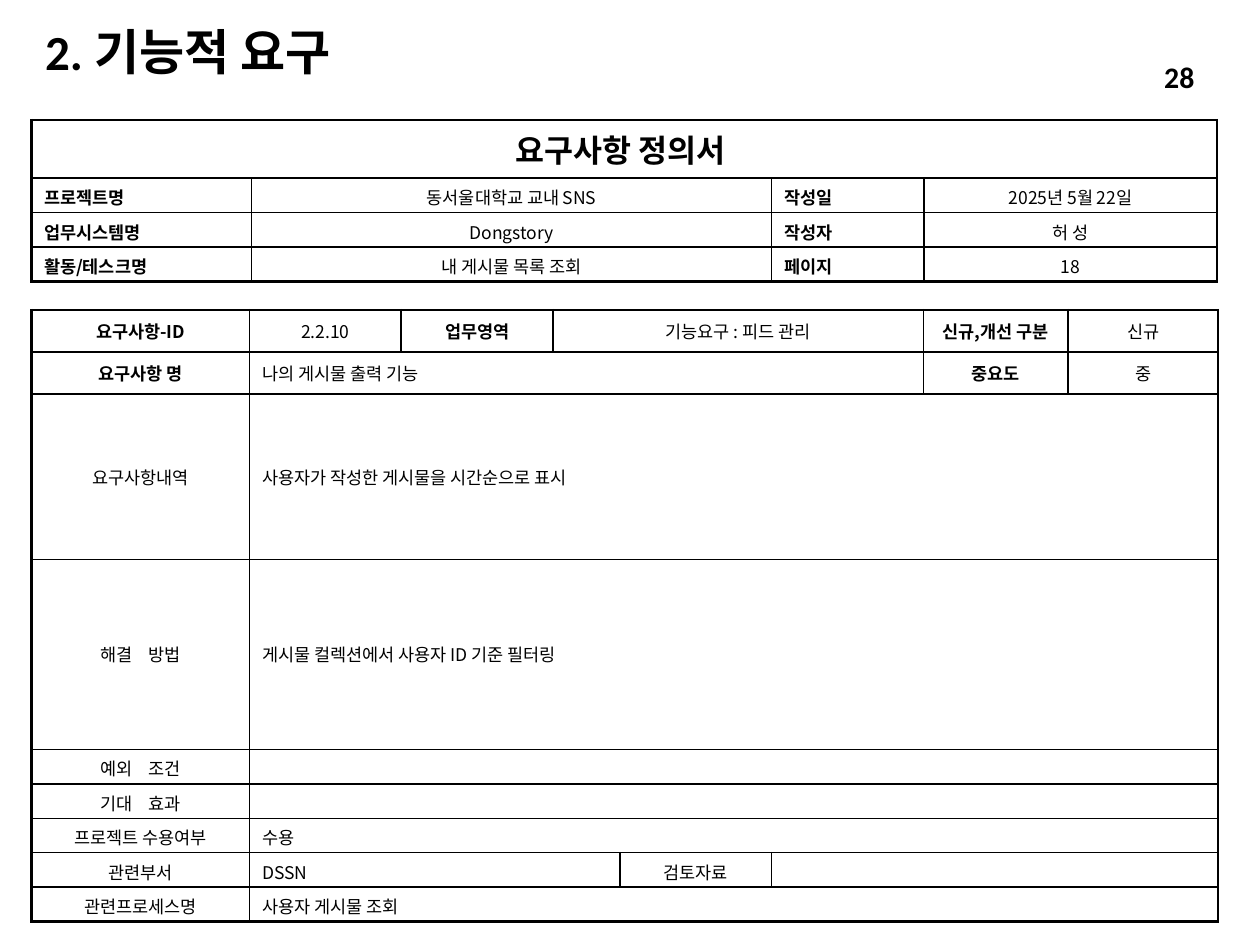
from dataclasses import dataclass
from typing import Optional

from lxml.etree import SubElement
from pptx import Presentation
from pptx.dml.color import RGBColor
from pptx.enum.text import MSO_ANCHOR, PP_ALIGN
from pptx.oxml.ns import qn
from pptx.util import Pt

LEFT, CENTER, RIGHT = PP_ALIGN.LEFT, PP_ALIGN.CENTER, PP_ALIGN.RIGHT
JUSTIFY = PP_ALIGN.JUSTIFY
TOP, MIDDLE = MSO_ANCHOR.TOP, MSO_ANCHOR.MIDDLE
LATIN, KOREAN = "Calibri", "Noto Sans CJK KR"
BLACK = "000000"
THIN, HEAVY = 1, 1.5
WORD_GAP = 6.7


@dataclass
class Cell:
    text: str = ""
    span: int = 1
    bold: bool = False
    align: PP_ALIGN = CENTER
    anchor: MSO_ANCHOR = MIDDLE
    size: float = 10
    font: str = KOREAN
    wide_gap: bool = False


@dataclass
class Grid:
    left: float
    top: float
    cols: list[float]
    heights: list[float]
    rows: list[list[Cell]]
    heavy_below: tuple[int, ...] = ()


def color(value: str) -> RGBColor:
    return RGBColor.from_string(value)


def add_run(p, text: str, size: float, bold: bool, font: str, spacing: float = 0) -> None:
    r = p.add_run()
    r.text = text
    r.font.size, r.font.bold, r.font.name = Pt(size), bold, font
    r.font.color.rgb = color(BLACK)
    rPr = r.font._element
    SubElement(rPr, qn("a:ea"), typeface=KOREAN)
    if spacing:
        rPr.set("spc", str(round(spacing * 100)))


def add_text(s, box: tuple[float, float, float, float], text: str, size: float,
             align: PP_ALIGN, line_spacing: Optional[float] = None) -> None:
    tf = s.shapes.add_textbox(*map(Pt, box)).text_frame
    tf.word_wrap = True
    tf.vertical_anchor = MIDDLE
    p = tf.paragraphs[0]
    p.alignment, p.line_spacing = align, line_spacing
    add_run(p, text, size, True, LATIN)


def set_borders(cell, widths: dict[str, float]) -> None:
    tcPr = cell._tc.get_or_add_tcPr()
    for side, width in widths.items():
        ln = SubElement(tcPr, qn(f"a:ln{side}"), w=str(Pt(width)))
        fill = SubElement(ln, qn("a:solidFill"))
        SubElement(fill, qn("a:srgbClr"), val=BLACK)
    cell.fill.background()


def fill_cell(cell, item: Cell) -> None:
    cell.vertical_anchor = item.anchor
    p = cell.text_frame.paragraphs[0]
    p.alignment = item.align
    if not item.text:
        end = SubElement(p._p, qn("a:endParaRPr"), sz=str(round(item.size * 100)))
        SubElement(end, qn("a:latin"), typeface=item.font)
    elif item.wide_gap:
        first, second = item.text.split()
        add_run(p, first, item.size, item.bold, item.font)
        add_run(p, " ", item.size, item.bold, item.font, WORD_GAP)
        add_run(p, second, item.size, item.bold, item.font)
    else:
        add_run(p, item.text, item.size, item.bold, item.font)


def add_grid(s, grid: Grid) -> None:
    n_rows, n_cols = len(grid.rows), len(grid.cols)
    table = s.shapes.add_table(n_rows, n_cols, Pt(grid.left), Pt(grid.top),
                               Pt(sum(grid.cols)), Pt(sum(grid.heights))).table
    table.first_row = table.horz_banding = False
    for col, width in zip(table.columns, grid.cols):
        col.width = Pt(width)
    for row, height in zip(table.rows, grid.heights):
        row.height = Pt(height)
    heavy_lines = {0, n_rows, *(i + 1 for i in grid.heavy_below)}
    for i, items in enumerate(grid.rows):
        start = 0
        for item in items:
            end = start + item.span
            widths = {
                "L": HEAVY if start == 0 else THIN,
                "R": HEAVY if end == n_cols else THIN,
                "T": HEAVY if i in heavy_lines else THIN,
                "B": HEAVY if i + 1 in heavy_lines else THIN,
            }
            for j in range(start, end):
                set_borders(table.cell(i, j), widths)
            cell = table.cell(i, start)
            if item.span > 1:
                cell.merge(table.cell(i, end - 1))
            fill_cell(cell, item)
            start = end


def head(text: str) -> Cell:
    return Cell(text, bold=True)


def info_row(label: str, value: str, label2: str, value2: str) -> list[Cell]:
    return [Cell(text, bold=bold, align=JUSTIFY if bold else CENTER, anchor=TOP)
            for text, bold in ((label, True), (value, False), (label2, True), (value2, False))]


def detail_row(label: str, value: str = "", font: str = KOREAN, wide_gap: bool = False) -> list[Cell]:
    return [Cell(label, wide_gap=wide_gap), Cell(value, span=7, align=LEFT, font=font)]


REQUIREMENT = Grid(
    18, 177.1,
    [124.6, 86.7, 86.7, 38.3, 86.7, 86.7, 82.8, 85.7],
    [24.1, 24.1, 94.3, 108.7] + [19.7] * 5,
    [
        [head("요구사항-ID"), Cell("2.2.10"), head("업무영역"),
         Cell("기능요구 : 피드 관리", span=3), head("신규,개선 구분"), Cell("신규")],
        [head("요구사항 명"), Cell("나의 게시물 출력 기능", span=5, align=LEFT),
         head("중요도"), Cell("중")],
        detail_row("요구사항내역", "사용자가 작성한 게시물을 시간순으로 표시", LATIN),
        detail_row("해결 방법", "게시물 컬렉션에서 사용자 ID 기준 필터링", wide_gap=True),
        detail_row("예외 조건", wide_gap=True),
        detail_row("기대 효과", wide_gap=True),
        detail_row("프로젝트 수용여부", "수용"),
        [Cell("관련부서"), Cell("DSSN", span=3, align=LEFT), Cell("검토자료"), Cell(span=3)],
        detail_row("관련프로세스명", "사용자 게시물 조회"),
    ],
    heavy_below=(0, 1),
)

DOCUMENT_INFO = Grid(
    18, 68.5,
    [125.8, 297.2, 87, 167.6],
    [33.3] + [19.7] * 3,
    [
        [Cell("요구사항 정의서 ", span=4, bold=True, size=18)],
        info_row("프로젝트명", "동서울대학교 교내 SNS", "작성일", "2025년 5월 22일"),
        info_row("업무시스템명 ", "Dongstory", "작성자", "허 성"),
        info_row("활동/테스크명", "내 게시물 목록 조회", "페이지", "18"),
    ],
)


def main() -> None:
    prs = Presentation()
    prs.slide_width, prs.slide_height = Pt(720), Pt(540)
    s = prs.slides.add_slide(prs.slide_layouts[6])
    add_text(s, (18.7, 15.1, 386, 31.7), "2. 기능적 요구", 28, LEFT, 0.9)
    add_grid(s, REQUIREMENT)
    add_grid(s, DOCUMENT_INFO)
    add_text(s, (573, 29.5, 116.6, 28.8), "28", 17, RIGHT)
    prs.save("out.pptx")


if __name__ == "__main__":
    main()
